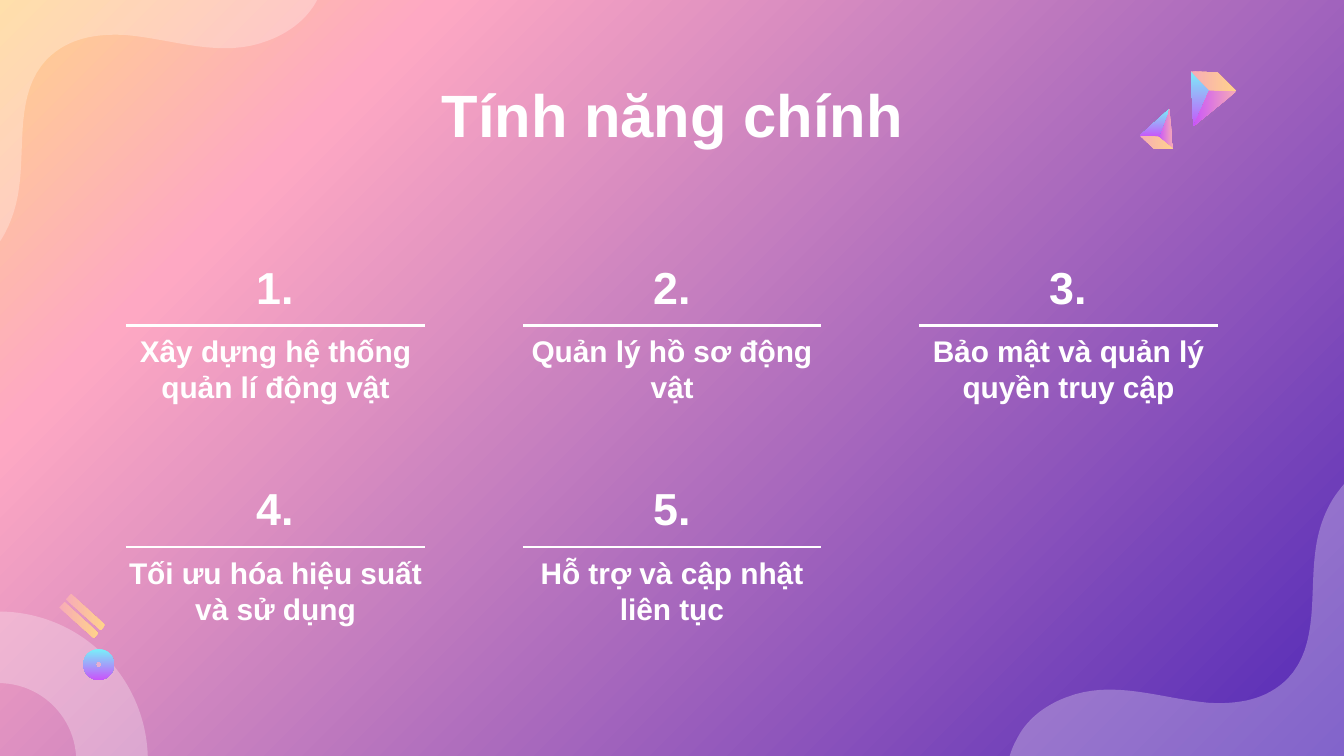
from copy import deepcopy

from lxml import etree
from pptx import Presentation
from pptx import util as u
from pptx.dml.color import RGBColor
from pptx.enum import shapes, text
from pptx.oxml.ns import qn


def rgb(value):
    return RGBColor.from_string(value)


def bezier(p0, p1, p2, p3, steps=16):
    for i in range(1, steps + 1):
        t = i / steps
        k = 1 - t
        yield tuple(
            k**3 * a + 3 * k * k * t * b + 3 * k * t * t * c + t**3 * d
            for a, b, c, d in zip(p0, p1, p2, p3)
        )


def curve(points):
    result = [points[0]]
    for i in range(0, len(points) - 1, 3):
        result += bezier(*points[i:i + 4])
    return result


class SlideBuilder:
    font = "Arial"
    white = "FFFFFF"
    veil = 28

    def __init__(self, prs):
        self.s = prs.slides.add_slide(prs.slide_layouts[6])

    def gradient(self, fill, colors, angle):
        fill.gradient()
        fill.gradient_angle = (360 - angle) % 360
        for stop, color in zip(fill.gradient_stops, colors):
            stop.color.rgb = rgb(color)

    def background(self, stops, angle):
        fill = self.s.background.fill
        fill.gradient()
        fill.gradient_angle = (360 - angle) % 360
        gs_list = self.s.element.xpath(".//a:gsLst")[0]
        gs_list.append(deepcopy(gs_list[-1]))
        for stop, (position, color) in zip(fill.gradient_stops, stops):
            stop.position = position
            stop.color.rgb = rgb(color)

    def paint(self, sp, colors=None, angle=0):
        sp.shadow.inherit = False
        sp.line.fill.background()
        if colors:
            self.gradient(sp.fill, colors, angle)
            return sp
        sp.fill.solid()
        sp.fill.fore_color.rgb = rgb(self.white)
        color = sp.element.xpath("./p:spPr/a:solidFill/a:srgbClr")[0]
        etree.SubElement(color, qn("a:alpha")).set("val", str(self.veil * 1000))
        return sp

    def polygon(self, points, colors=None, angle=0):
        points = [(u.Inches(x), u.Inches(y)) for x, y in points]
        builder = self.s.shapes.build_freeform(*points[0])
        builder.add_line_segments(points[1:], close=True)
        return self.paint(builder.convert_to_shape(), colors, angle)

    def group(self, faces):
        self.s.shapes.add_group_shape([self.polygon(*face) for face in faces])

    def ring(self, x, y, size, thickness, colors=None, angle=0):
        sp = self.s.shapes.add_shape(
            shapes.MSO_SHAPE.DONUT, u.Inches(x), u.Inches(y), u.Inches(size), u.Inches(size)
        )
        sp.adjustments[0] = thickness
        self.paint(sp, colors, angle)

    def label(self, words, x, y, w, h, size):
        sp = self.s.shapes.add_textbox(u.Inches(x), u.Inches(y), u.Inches(w), u.Inches(h))
        tf = sp.text_frame
        tf.word_wrap = True
        tf.vertical_anchor = text.MSO_ANCHOR.MIDDLE
        tf.margin_left = tf.margin_right = tf.margin_top = tf.margin_bottom = u.Inches(0.1)
        p = tf.paragraphs[0]
        p.text = words
        p.alignment = text.PP_ALIGN.CENTER
        p.font.name = self.font
        p.font.size = u.Pt(size)
        p.font.bold = True
        p.font.color.rgb = rgb(self.white)

    def rule(self, x, y, w):
        line = self.s.shapes.add_connector(
            shapes.MSO_CONNECTOR.STRAIGHT, u.Inches(x), u.Inches(y), u.Inches(x + w), u.Inches(y)
        )
        line.line.color.rgb = rgb(self.white)
        line.line.width = u.Pt(1.5)
        etree.SubElement(line.element.spPr, qn("a:effectLst"))


AQUA = ("78F0F9", "C954FA")
PINK = ("F7ABB7", "C954FA")
PEACH = ("F7ABB7", "FFD38B")

WAVE = [
    (10.17, 3.49), (10.09, 3.52), (10.02, 3.57), (9.97, 3.64),
    (9.87, 3.76), (9.81, 3.93), (9.79, 4.08),
    (9.74, 4.4), (9.82, 4.8), (9.58, 5.05),
    (9.42, 5.21), (9.21, 5.24), (9, 5.23),
    (8.64, 5.2), (8.28, 5.05), (7.93, 5.19),
    (7.77, 5.25), (7.63, 5.36), (7.56, 5.51),
    (7.51, 5.6), (7.49, 5.7), (7.49, 5.8),
]

FEATURES = [
    "Xây dựng hệ thống quản lí động vật",
    "Quản lý hồ sơ động vật",
    "Bảo mật và quản lý quyền truy cập",
    "Tối ưu hóa hiệu suất và sử dụng",
    "Hỗ trợ và cập nhật liên tục",
]


def main():
    prs = Presentation()
    prs.slide_width, prs.slide_height = u.Inches(10), u.Inches(10 * 9 / 16)
    page = SlideBuilder(prs)
    page.background([(0, "5229B7"), (0.79, "FEA8C3"), (1, "FFD38B")], 225)

    wave = curve(WAVE) + [(10.17, 5.8)]
    page.polygon(wave)
    page.polygon([(9.93 - x, 5.49 - y) for x, y in wave])
    page.ring(-1.12, 4.55, 2.22, 0.24)

    page.label("Tính năng chính", 0.79, 0.58, 8.43, 0.53, 32)
    for i, feature in enumerate(FEATURES):
        row, column = divmod(i, 3)
        x, y = 0.79 + 2.95 * column, 1.84 + 1.65 * row
        page.label(f"{i + 1}.", x, y, 2.52, 0.58, 24)
        page.label(feature, x, y + 0.64, 2.52, 0.53, 16)
        page.rule(x + 0.15, y + 0.58, 2.22)

    top, ridge, tip, base = (8.86, 0.53), (9, 0.67), (9.2, 0.68), (8.88, 0.94)
    page.group([
        ([top, ridge, base], AQUA, 90),
        ([base, ridge, tip], PINK, 180),
        ([tip, ridge, top, (9.06, 0.54)], PEACH),
    ])
    top, ridge, tip, base = (8.7, 0.81), (8.62, 1.02), (8.48, 1.01), (8.73, 1.11)
    page.group([
        ([base, ridge, top], PINK, 180),
        ([top, ridge, tip], AQUA, 90),
        ([tip, ridge, base, (8.59, 1.11)], PEACH),
    ])

    page.ring(0.62, 4.83, 0.23, 0.4, AQUA, 90)
    stripe = [(0.49, 4.46), (0.53, 4.42), (0.78, 4.65), (0.75, 4.69)]
    page.group([
        ([(x - dx, y + dy) for x, y in stripe], PEACH)
        for dx, dy in [(0, 0), (0.05, 0.06)]
    ])
    prs.save("out.pptx")


if __name__ == "__main__":
    main()
